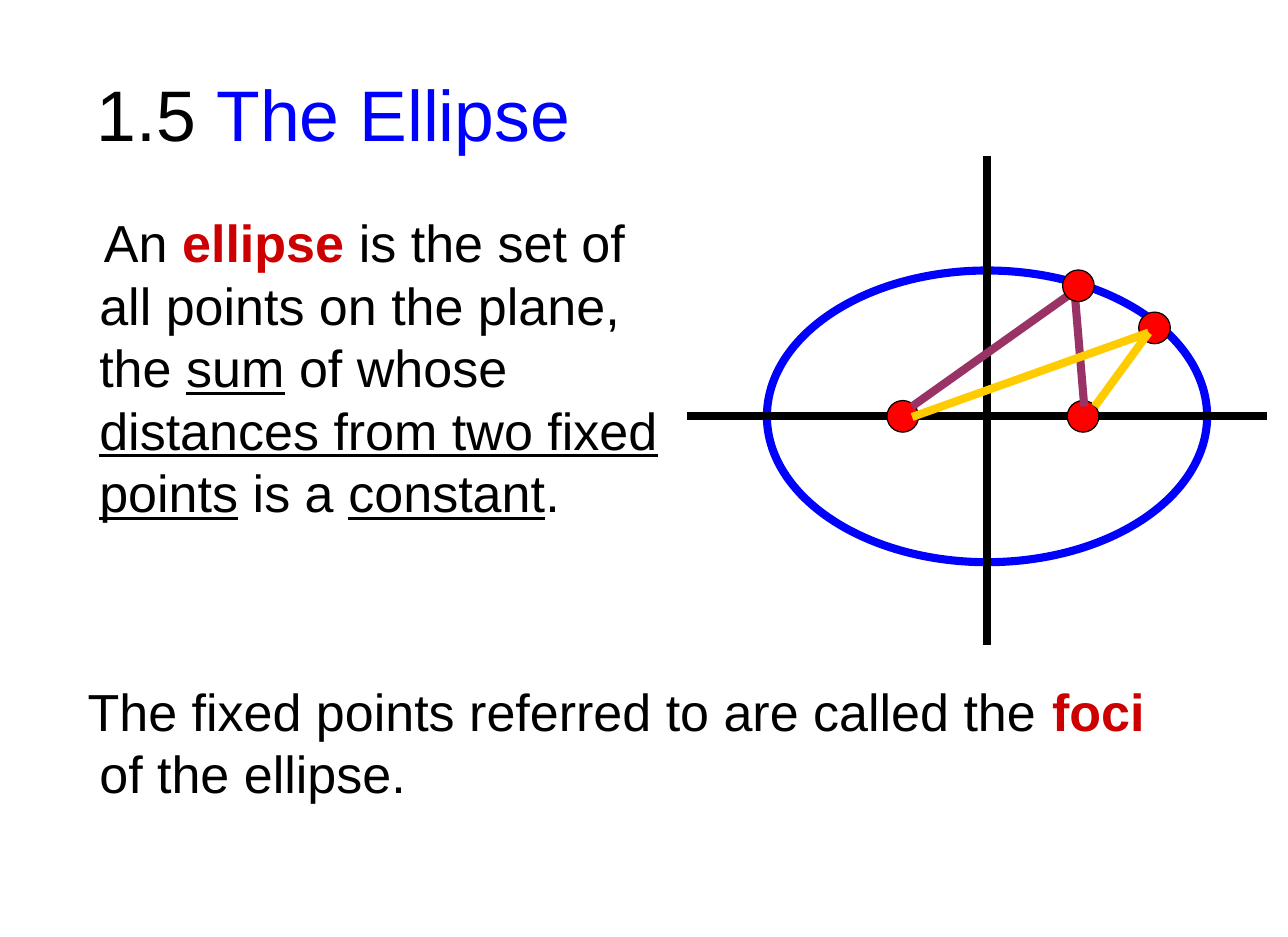
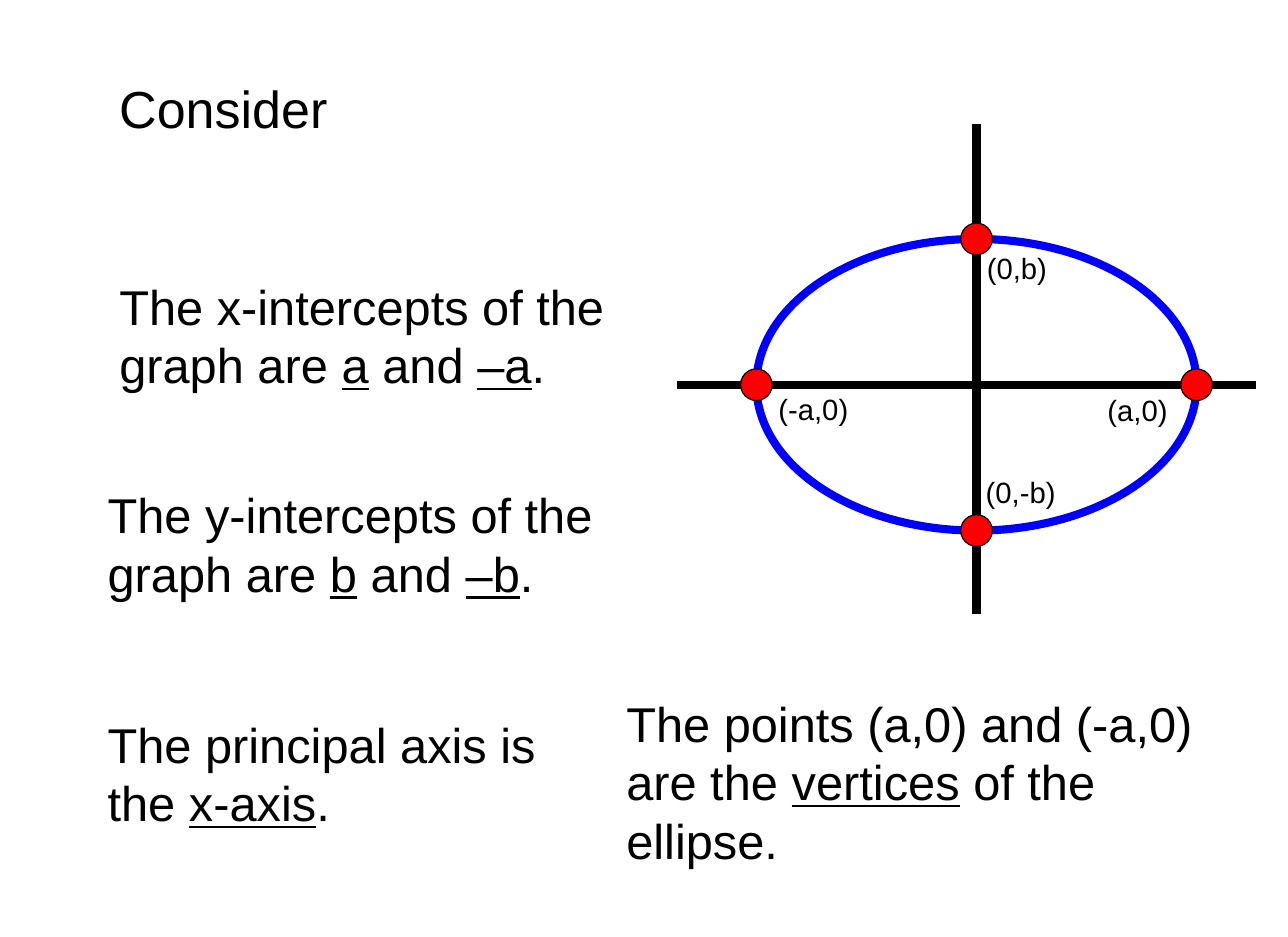
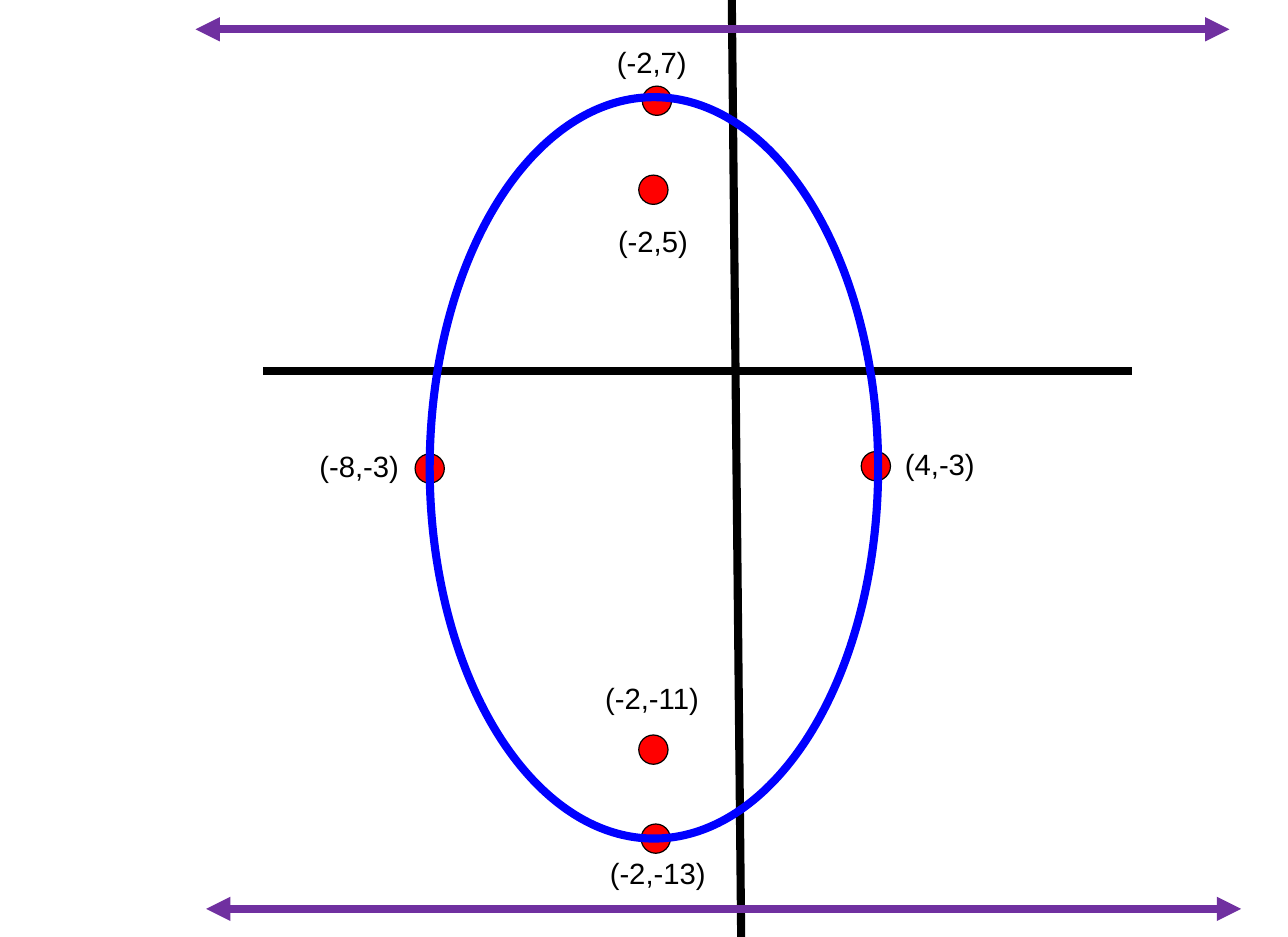
from lxml import etree
from pptx import Presentation
from pptx.dml.color import RGBColor
from pptx.enum.shapes import MSO_CONNECTOR as CONN, MSO_SHAPE as SHAPE
from pptx.enum.text import MSO_ANCHOR as ANCHOR
from pptx.oxml.ns import qn
from pptx.util import Inches, Pt

COLORS = {
    "ink": "000000",
    "blue": "0000FF",
    "term": "CC0000",
    "dot": "FF0000",
    "plum": "993366",
    "gold": "FFCC00",
    "violet": "7030A0",
}
COLS, ROWS = 11, 8


def rgb(name):
    return RGBColor.from_string(COLORS[name])


class Deck:
    font = "Arial"
    stroke = 5
    oval_w, oval_h = 3.76, 2.49

    def __init__(self):
        self.prs = Presentation()
        self.prs.slide_width = Inches(11)
        self.prs.slide_height = Inches(8)
        self.s = None

    def new_slide(self):
        self.s = self.prs.slides.add_slide(self.prs.slide_layouts[6])

    def x(self, cols):
        return round(self.prs.slide_width * cols / COLS)

    def y(self, rows):
        return round(self.prs.slide_height * rows / ROWS)

    def box(self, left, top, width, height):
        return self.x(left), self.y(top), self.x(width), self.y(height)

    def text(self, at, runs, size, anchor=ANCHOR.TOP, margin=0, indent=0):
        tf = self.s.shapes.add_textbox(*self.box(*at)).text_frame
        tf.word_wrap = True
        tf.vertical_anchor = anchor
        p = tf.paragraphs[0]
        if margin or indent:
            pPr = p._p.get_or_add_pPr()
            pPr.set("marL", str(self.x(margin)))
            pPr.set("indent", str(self.x(indent)))
        p.font.name = self.font
        p.font.size = Pt(size)
        for words, look in runs:
            r = p.add_run()
            r.text = words
            r.font.color.rgb = rgb(look if look in COLORS else "ink")
            if look == "term":
                r.font.bold = True
            if look == "under":
                r.font.underline = True

    def label(self, left, top, words):
        self.text((left, top, 1.1, 0.4), [(words, "ink")], 18)

    def oval(self, at, line, width, fill=None):
        sp = self.s.shapes.add_shape(SHAPE.OVAL, *self.box(*at))
        sp.shadow.inherit = False
        if fill:
            sp.fill.solid()
            sp.fill.fore_color.rgb = rgb(fill)
        else:
            sp.fill.background()
        sp.line.color.rgb = rgb(line)
        sp.line.width = Pt(width)

    def curve(self, *at):
        self.oval(at, "blue", self.stroke)

    def dots(self, centers, size=0.27):
        for cx, cy in centers:
            at = (cx - size / 2, cy - size / 2, size, size)
            self.oval(at, "ink", 0.75, "dot")

    def line(self, x1, y1, x2, y2, color="ink", arrows=False):
        ends = self.x(x1), self.y(y1), self.x(x2), self.y(y2)
        c = self.s.shapes.add_connector(CONN.STRAIGHT, *ends)
        c.line.color.rgb = rgb(color)
        c.line.width = Pt(self.stroke)
        if arrows:
            ln = c.line._get_or_add_ln()
            for end in ("a:headEnd", "a:tailEnd"):
                etree.SubElement(ln, qn(end)).set("type", "triangle")
        etree.SubElement(c._element.spPr, qn("a:effectLst"))

    def graph(self, left, top):
        cx, cy = left + self.oval_w / 2, top + self.oval_h / 2
        self.curve(left, top, self.oval_w, self.oval_h)
        self.line(cx, top - 0.98, cx, top + 3.2)
        self.line(left - 0.68, cy, left + 4.27, cy)
        return cx, cy


def definition(d):
    d.new_slide()
    d.text((0.73, 0.39, 9.57, 1.15),
           [("1.5 ", "ink"), ("The Ellipse", "blue")], 44, ANCHOR.MIDDLE)
    d.text((0.75, 1.75, 5.03, 3.76), [
        ("An ", "ink"), ("ellipse ", "term"),
        ("is the set of all points on the plane, the ", "ink"),
        ("sum", "under"), (" of whose ", "ink"),
        ("distances from two fixed points", "under"),
        (" is a ", "ink"), ("constant", "under"), (".", "ink"),
    ], 32, indent=0.04)
    d.text((0.65, 5.75, 9.45, 1.63), [
        ("The fixed points referred to are called the ", "ink"),
        ("foci", "term"), (" of the ellipse.", "ink"),
    ], 32, margin=0.1, indent=-0.1)
    cy = d.graph(6.55, 2.31)[1]
    d.dots([(7.71, cy), (9.25, cy)])
    d.line(7.79, 3.47, 9.17, 2.49, "plum")
    d.line(9.26, 3.47, 9.17, 2.4, "plum")
    d.dots([(9.21, 2.44), (9.86, 2.8)])
    d.line(7.79, 3.56, 9.81, 2.84, "gold")
    d.line(9.81, 2.84, 9.35, 3.47, "gold")


def intercepts(d):
    d.new_slide()
    d.text((0.92, 0.6, 2.66, 0.64), [("Consider", "ink")], 32)
    for axis, name, left, top in (("x", "a", 0.92, 2.31),
                                  ("y", "b", 0.82, 4.09)):
        d.text((left, top, 4.95, 1.1), [
            (f"The {axis}-intercepts of the graph are ", "ink"),
            (name, "under"), (" and ", "ink"),
            (f"–{name}", "under"), (".", "ink"),
        ], 30)
    d.text((0.82, 6.05, 4.49, 1.14), [
        ("The principal axis is the ", "ink"),
        ("x-axis", "under"), (".", "ink"),
    ], 30)
    d.text((5.25, 5.87, 5.48, 1.6), [
        ("The points (a,0) and (-a,0) are the ", "ink"),
        ("vertices", "under"), (" of the ellipse.", "ink"),
    ], 30)
    left, top = 6.46, 2.04
    cx, cy = d.graph(left, top)
    d.dots([(left, cy), (left + d.oval_w, cy),
            (cx, top), (cx, top + d.oval_h)])
    for at in ((9.36, 3.3, "(a,0)"), (6.55, 3.29, "(-a,0)"),
               (8.33, 2.09, "(0,b)"), (8.32, 4, "(0,-b)")):
        d.label(*at)


def tall_ellipse(d):
    d.new_slide()
    d.line(6.25, 0, 6.33, 8)
    d.line(2.25, 3.17, 9.67, 3.17)
    d.dots([(3.67, 4), (5.6, 7.16), (7.48, 3.98),
            (5.58, 1.62), (5.58, 6.4), (5.61, 0.86)], 0.25)
    d.curve(3.67, 0.83, 3.83, 6.33)
    for at in ((5.17, 0.33, "(-2,7)"), (5.11, 7.25, "(-2,-13)"),
               (7.63, 3.76, "(4,-3)"), (2.63, 3.78, "(-8,-3)"),
               (5.18, 1.86, "(-2,5)"), (5.07, 5.76, "(-2,-11)")):
        d.label(*at)
    d.line(1.67, 0.25, 10.5, 0.25, "violet", arrows=True)
    d.line(1.76, 7.76, 10.6, 7.76, "violet", arrows=True)


def main():
    d = Deck()
    definition(d)
    intercepts(d)
    tall_ellipse(d)
    d.prs.save("out.pptx")


if __name__ == "__main__":
    main()
